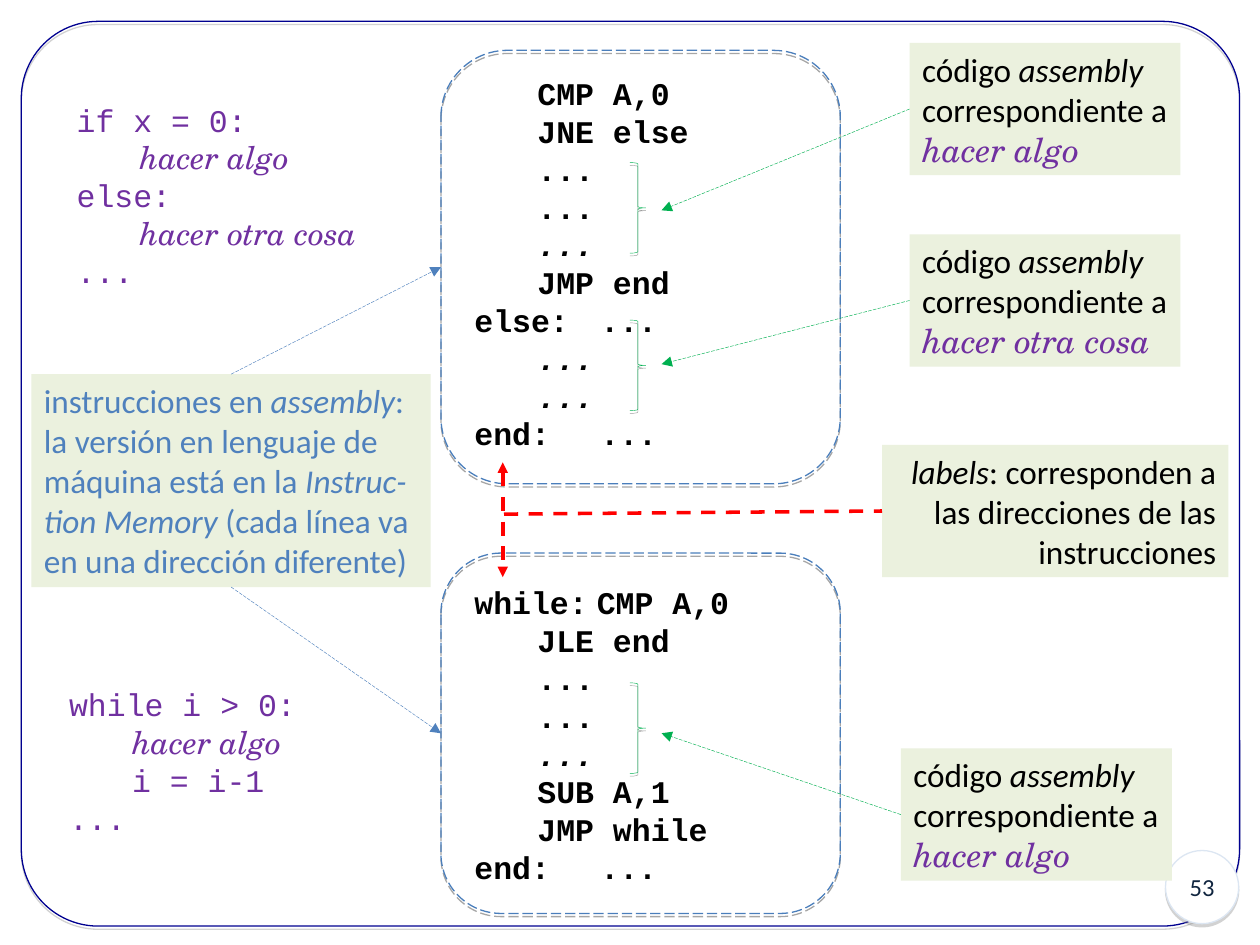
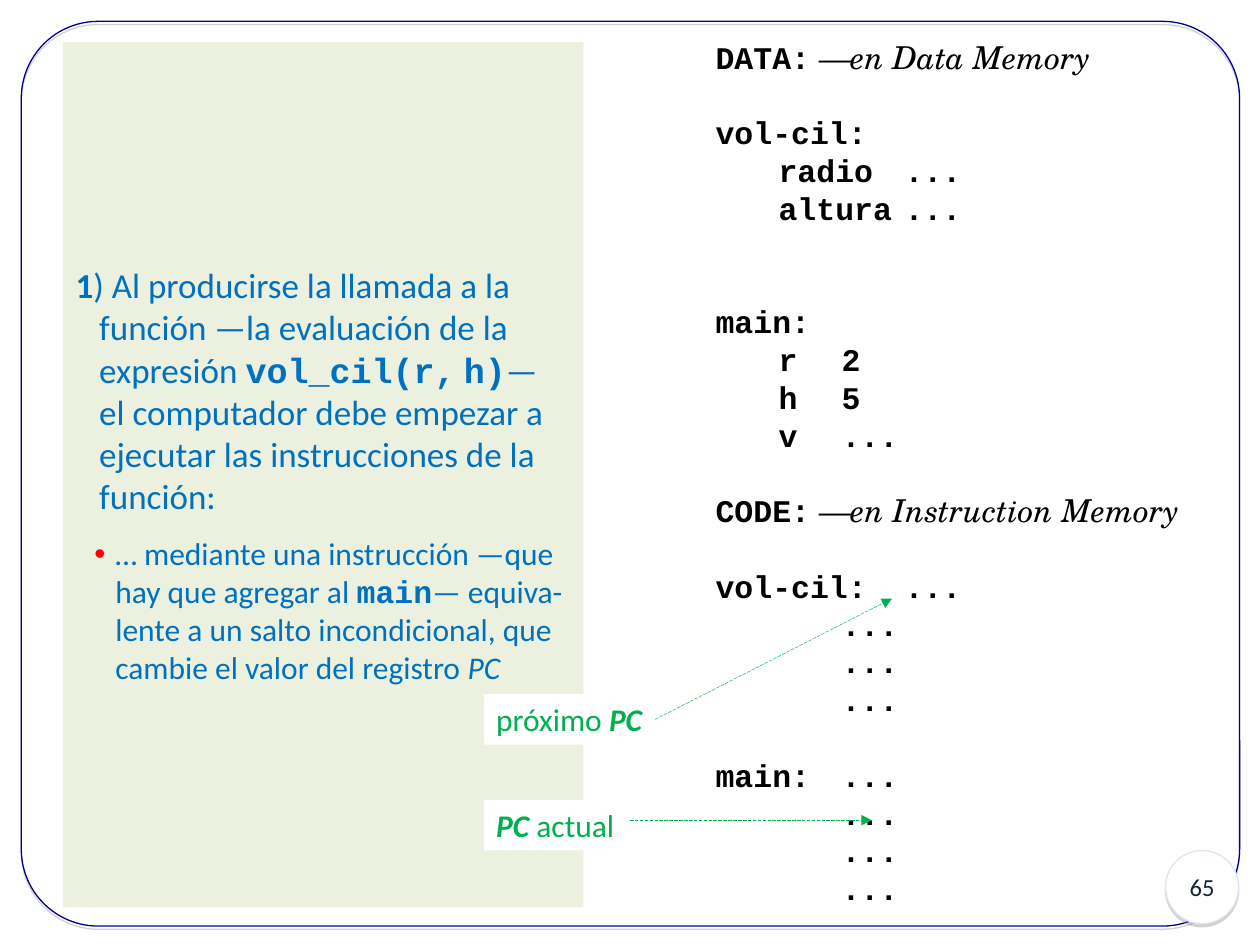
from dataclasses import dataclass, replace
from typing import NamedTuple

from lxml import etree
from pptx import Presentation
from pptx.dml.color import RGBColor
from pptx.enum import dml, shapes, text
from pptx.oxml import ns
from pptx.util import Pt

COLORS = {
    "navy": "000090", "ring": "DCE6F2", "number": "10253F", "gray": "808080",
    "black": "000000", "white": "FFFFFF", "purple": "7030A0", "note": "EBF1DE",
    "panel": "4A7EBB", "blue": "4F81BD", "body": "0070C0", "green": "00B050",
    "red": "FF0000",
}
SANS, MONO, SERIF = "Calibri", "Courier New", "TeX Gyre Schola"
LEADING = 1.2
KIND = shapes.MSO_SHAPE
DASH = dml.MSO_LINE
TOP, LEFT, BOTTOM, RIGHT = range(4)


class Box(NamedTuple):
    x: float
    y: float
    w: float
    h: float


@dataclass(frozen=True)
class Style:
    name: str
    size: float
    color: str
    bold: bool = False
    italic: bool = False


@dataclass(frozen=True)
class Look:
    """Outline and shadow of an unfilled shape."""
    line: str
    width: float
    shadow: str
    alpha: int
    drop: float = 1.8
    dash: object = None


@dataclass(frozen=True)
class Para:
    """Runs are plain strings, or pairs of a string and its style changes."""
    runs: tuple
    style: Style
    tabs: tuple = ()
    before: float = 0
    align: object = text.PP_ALIGN.LEFT
    margin: float = 0
    indent: float = 0
    bullet: bool = False


FRAME = Look("navy", 0.75, "gray", 35)
RING = Look("ring", 0.75, "gray", 35)
PANEL = Look("panel", 0.75, "black", 35, dash=DASH.LONG_DASH)
BRACE = Look("green", 0.25, "black", 38, 1.6)

PSEUDO = Style(MONO, 18, "purple")
ASM = Style(MONO, 18, "black", bold=True)
NOTE = Style(SANS, 19, "black")
BODY = Style(SANS, 20, "body")
PC = Style(SANS, 18, "green")

ITALIC = {"italic": True}
STRONG = {"bold": True, "italic": True}
ACTION = {"name": SERIF, "italic": True}
REMARK = {"name": SERIF, "bold": False, "italic": True}
THIN_SPACE = (" ", {"name": SERIF})


def rgb(name: str) -> RGBColor:
    return RGBColor.from_string(COLORS[name])


def child(parent, tag: str, **attrs):
    return etree.SubElement(parent, ns.qn(f"a:{tag}"), attrs)


def set_font(font, style: Style) -> None:
    font.name, font.size = style.name, Pt(style.size)
    font.bold, font.italic = style.bold, style.italic
    font.color.rgb = rgb(style.color)


def write(tf, paras: list, wrap: bool = True, anchor=text.MSO_ANCHOR.TOP) -> None:
    tf.auto_size = text.MSO_AUTO_SIZE.NONE
    tf.word_wrap, tf.vertical_anchor = wrap, anchor
    for i, para in enumerate(paras):
        p = tf.add_paragraph() if i else tf.paragraphs[0]
        p.alignment = para.align
        p.line_spacing = Pt(para.style.size * LEADING)
        p.space_before = Pt(para.before)
        pPr = p._p.get_or_add_pPr()
        pPr.set("marL", str(Pt(para.margin)))
        pPr.set("indent", str(Pt(para.indent)))
        if para.bullet:
            child(child(pPr, "buClr"), "srgbClr", val=COLORS["red"])
            child(pPr, "buChar", char="•")
        else:
            child(pPr, "buNone")
        if para.tabs:
            stops = child(pPr, "tabLst")
            for tab in para.tabs:
                child(stops, "tab", pos=str(Pt(tab)), algn="l")
        set_font(p.font, para.style)
        for run in para.runs:
            words, changes = (run, {}) if isinstance(run, str) else run
            r = p.add_run()
            r.text = words
            if changes:
                set_font(r.font, replace(para.style, **changes))


def add_shape(s, kind, box: Box, fill: str = "", look: Look | None = None):
    sp = s.shapes.add_shape(kind, *map(Pt, box))
    sp.shadow.inherit = False
    if fill:
        sp.fill.solid()
        sp.fill.fore_color.rgb = rgb(fill)
    else:
        sp.fill.background()
    if look is None:
        sp.line.fill.background()
        return sp
    sp.line.color.rgb = rgb(look.line)
    sp.line.width = Pt(look.width)
    if look.dash:
        sp.line.dash_style = look.dash
    effects = sp.element.spPr.find(ns.qn("a:effectLst"))
    shadow = child(effects, "outerShdw", blurRad="0", dist=str(Pt(look.drop)),
                   dir="5400000", rotWithShape="0")
    color = child(shadow, "srgbClr", val=COLORS[look.shadow])
    child(color, "alpha", val=str(look.alpha * 1000))
    return sp


def add_text(s, box: Box, paras: list, wrap: bool = True) -> None:
    write(s.shapes.add_textbox(*map(Pt, box)).text_frame, paras, wrap)


def add_note(s, box: Box, paras: list, wrap: bool = False, fill: str = "note"):
    sp = add_shape(s, KIND.RECTANGLE, box, fill)
    write(sp.text_frame, paras, wrap)
    return sp


def add_line(s, start: tuple, end: tuple, color: str, width: float = 0.25,
             dash=DASH.LONG_DASH, heads: tuple = ("tailEnd",)) -> None:
    """Each end is a pair of coordinates or a pair of a shape and its side."""
    points = [(0, 0) if hasattr(a, "element") else (a, b) for a, b in (start, end)]
    c = s.shapes.add_connector(shapes.MSO_CONNECTOR.STRAIGHT,
                               *(Pt(v) for point in points for v in point))
    for (a, b), connect in ((start, c.begin_connect), (end, c.end_connect)):
        if hasattr(a, "element"):
            connect(a, b)
    c.line.color.rgb = rgb(color)
    c.line.width = Pt(width)
    c.line.dash_style = dash
    for head in heads:
        child(c.element.spPr.find(ns.qn("a:ln")), head, type="triangle")
    child(c.element.spPr, "effectLst")


def add_frame(s, number: int) -> None:
    frame = add_shape(s, KIND.ROUNDED_RECTANGLE, Box(12.2, 12.2, 696.2, 517), look=FRAME)
    frame.adjustments[0] = 0.085
    badge = add_shape(s, KIND.OVAL, Box(666, 486, 41.8, 41.8), "white", RING)
    style = Style(SANS, 14, "number")
    write(badge.text_frame, [Para((str(number),), style, align=text.PP_ALIGN.CENTER)],
          anchor=text.MSO_ANCHOR.MIDDLE)


def code(lines: list, style: Style, *tabs: float) -> list:
    """Turn each line, a string or a tuple of runs, into a paragraph."""
    return [Para((line,) if isinstance(line, str) else line, style, tabs) for line in lines]


def build_branches(prs) -> None:
    s = prs.slides.add_slide(prs.slide_layouts[6])
    add_frame(s, 53)
    do_this, do_other = ("hacer algo", ACTION), ("hacer otra cosa", ACTION)
    slanted = (("\t...", ITALIC),)

    add_text(s, Box(36.7, 54, 174.2, 115.2), code(
        ["if x = 0:", ("\t", do_this), "else:", ("\t", do_other), "..."], PSEUDO, 36), False)
    add_text(s, Box(32.4, 388.1, 144, 93.6), code(
        ["while i > 0:", ("\t", do_this), "\ti = i-1", "..."], PSEUDO, 36), False)
    add_text(s, Box(264, 38.9, 210.2, 223.2), code(
        ["\tCMP A,0", "\tJNE else", "\t...", "\t...", slanted, "\tJMP end",
         "else:\t...", slanted, slanted, "end:\t..."], ASM, 54, 72))
    add_text(s, Box(264, 329.8, 210.2, 180), code(
        [("while:", THIN_SPACE, "CMP A,0"), "\tJLE end", "\t...", "\t...", slanted,
         "\tSUB A,1", "\tJMP while", "end:\t..."], ASM, 54, 72))

    panels = [add_shape(s, KIND.ROUNDED_RECTANGLE, Box(252, y, 228.2, h), look=PANEL)
              for y, h in ((28.8, 247.7), (316.1, 205.9))]
    memory = add_note(s, Box(18, 213.8, 228.2, 121.7), [Para(
        ("instrucciones en ", ("assembly", ITALIC),
         ": la versión en lenguaje de máquina está en la ",
         ("Instruc-tion Memory", ITALIC), " (cada línea va en una dirección diferente)"),
        replace(NOTE, color="blue"))], wrap=True)
    for panel, side in zip(panels, (TOP, BOTTOM)):
        add_line(s, (memory, side), (panel, LEFT), "blue")

    for x, y, action, tip_y, brace_y in ((519.8, 24.5, "hacer algo", 120.2, 92.9),
                                         (519.8, 133.9, "hacer otra cosa", 208.1, 182.9),
                                         (514.8, 427.7, "hacer algo", 419, 390.2)):
        note = add_note(s, Box(x, y, 154.8, 75.6), code(
            [("código ", ("assembly", ITALIC)), "correspondiente a",
             ((action, {**ACTION, "color": "purple"}),)], NOTE))
        add_line(s, (note, LEFT), (378, tip_y), "green")
        add_shape(s, KIND.RIGHT_BRACE, Box(360, brace_y, 9, 51.8), look=BRACE)

    labels = add_note(s, Box(504, 254.2, 198, 75.6), [Para(
        (("labels", ITALIC), ": corresponden a las direcciones de las instrucciones"),
        NOTE, align=text.PP_ALIGN.RIGHT)], wrap=True)
    add_line(s, (287.3, 264.2), (287.3, 329.8), "red", 2, DASH.DASH, ("headEnd", "tailEnd"))
    add_line(s, (288, 293.8), (labels, LEFT), "red", 2, DASH.DASH, ())


def build_call(prs) -> None:
    s = prs.slides.add_slide(prs.slide_layouts[1])
    title, body = s.placeholders
    title.element.getparent().remove(title.element)
    add_frame(s, 65)

    body.left, body.top, body.width, body.height = map(Pt, (36, 24, 297.4, 494.6))
    body.fill.solid()
    body.fill.fore_color.rgb = rgb("note")
    inline_code = {"name": MONO, "bold": True}
    write(body.text_frame, [
        Para((("1", {"bold": True}),
              ") Al producirse la llamada a la función —la evaluación de la expresión ",
              ("vol_cil(r,", inline_code), (" ", {"bold": True}), ("h)", inline_code),
              "— el computador debe empezar a ejecutar las instrucciones de la función:"),
             BODY, margin=13.5, indent=-13.5),
        Para(("… mediante una instrucción —que hay que agregar al ", ("main", inline_code),
              "— equiva-lente a un salto incondicional, que cambie el valor del registro ",
              ("PC", ITALIC)),
             replace(BODY, size=18), before=10.5, margin=22.7, indent=-12, bullet=True),
    ], anchor=text.MSO_ANCHOR.MIDDLE)

    dots = ["\t\t..."] * 3
    groups = [
        (0, [("DATA:", THIN_SPACE, ("—en Data Memory", REMARK))]),
        (1, ["vol-cil:", "\tradio\t...", "\taltura\t..."]),
        (2, ["main:", "\tr\t2", "\th\t5", "\tv\t..."]),
        (1, [("CODE:", THIN_SPACE, ("—en Instruction Memory", REMARK))]),
        (1, ["vol-cil:\t...", *dots]),
        (1, ["main:\t...", *dots]),
    ]
    listing = []
    for gap, lines in groups:
        first, *rest = code(lines, ASM, 35.5, 90)
        listing += [replace(first, before=gap * ASM.size * LEADING), *rest]
    add_text(s, Box(401.8, 18, 282.2, 504), listing)

    add_note(s, Box(276.5, 457.2, 81.4, 28.8),
             [Para((("PC", STRONG), " actual"), PC)], fill="white")
    following = add_note(s, Box(276.5, 396.7, 97.9, 28.8),
                         [Para(("próximo ", ("PC", STRONG)), PC)], fill="white")
    add_line(s, (360, 468.7), (498.2, 468.7), "green")
    add_line(s, (following, RIGHT), (509.8, 342), "green")


def main() -> None:
    prs = Presentation()
    prs.slide_width, prs.slide_height = Pt(720), Pt(540)
    build_branches(prs)
    build_call(prs)
    prs.save("out.pptx")


if __name__ == "__main__":
    main()
